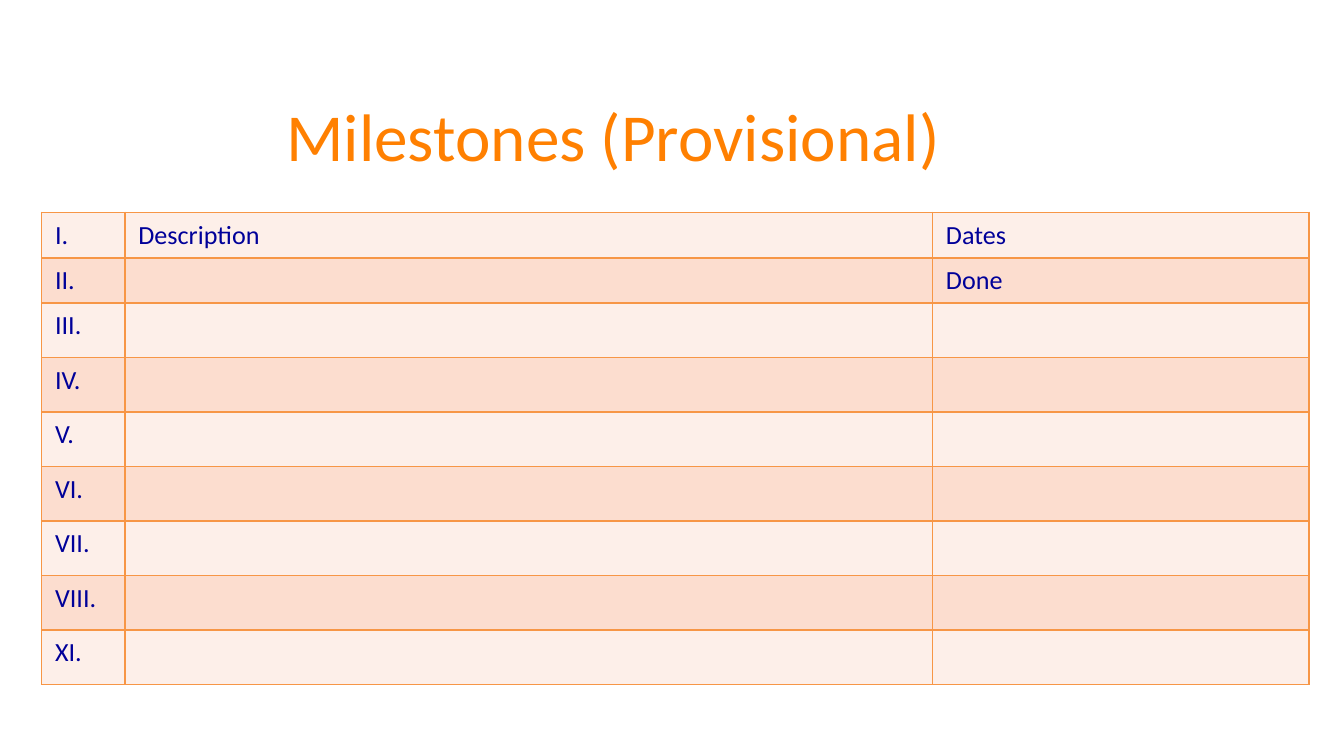
"""Build the provisional milestones slide."""
from lxml.etree import SubElement
from pptx import Presentation
from pptx.dml.color import RGBColor
from pptx.enum.text import MSO_ANCHOR, MSO_AUTO_SIZE, PP_ALIGN
from pptx.oxml import parse_xml
from pptx.oxml.ns import nsdecls, qn
from pptx.util import Pt

TITLE = "Milestones (Provisional)"
ROWS = [
    ("I.", "Description", "Dates"),
    ("II.", "", "Done"),
    ("III.", "", ""),
    ("IV.", "", ""),
    ("V.", "", ""),
    ("VI.", "", ""),
    ("VII.", "", ""),
    ("VIII.", "", ""),
    ("XI.", "", ""),
]
COLORS = {
    "title": "FF8001",
    "text": "000099",
    "border": "F79646",
    "light": "FDEFE9",
    "dark": "FCDDCF",
}
FONT = "Calibri"
COLUMN_WIDTHS = (44.6, 432.7, 201.6)
SHORT_ROW, TALL_ROW = 24.3, 29.2
TABLE_LEFT, TABLE_TOP = 22.3, 113.8


def write(frame, text, size, color):
    para = frame.paragraphs[0]
    para.alignment = PP_ALIGN.LEFT
    if not text:
        SubElement(para._p, qn("a:endParaRPr"), sz=str(size * 100))
        return
    span = para.add_run()
    span.text = text
    span.font.name = FONT
    span.font.size = Pt(size)
    span.font.color.rgb = RGBColor.from_string(COLORS[color])


def outline(cell):
    properties = cell._tc.get_or_add_tcPr()
    for index, side in enumerate(("lnL", "lnR", "lnT", "lnB")):
        properties.insert(index, parse_xml(
            f'<a:{side} {nsdecls("a")} w="{Pt(1)}"><a:solidFill>'
            f'<a:srgbClr val="{COLORS["border"]}"/></a:solidFill></a:{side}>'))


def add_title(page):
    box = page.shapes.title
    box.left, box.top, box.width, box.height = Pt(146.2), Pt(41.8), Pt(539.3), Pt(60.5)
    frame = box.text_frame
    frame.auto_size = MSO_AUTO_SIZE.NONE
    frame.vertical_anchor = MSO_ANCHOR.MIDDLE
    write(frame, TITLE, size=36, color="title")


def add_milestones(page):
    heights = [SHORT_ROW if row[2] else TALL_ROW for row in ROWS]
    table = page.shapes.add_table(
        len(ROWS), len(COLUMN_WIDTHS), Pt(TABLE_LEFT), Pt(TABLE_TOP),
        Pt(sum(COLUMN_WIDTHS)), Pt(sum(heights))).table
    table.first_row = table.horz_banding = False
    for column, width in zip(table.columns, COLUMN_WIDTHS):
        column.width = Pt(width)
    for index, (texts, height) in enumerate(zip(ROWS, heights)):
        row = table.rows[index]
        row.height = Pt(height)
        band = "dark" if index % 2 else "light"
        for cell, text in zip(row.cells, texts):
            cell.fill.solid()
            cell.fill.fore_color.rgb = RGBColor.from_string(COLORS[band])
            outline(cell)
            write(cell.text_frame, text, size=14, color="text")


def main():
    deck = Presentation()
    deck.slide_width, deck.slide_height = Pt(720), Pt(405)
    page = deck.slides.add_slide(deck.slide_layouts[5])
    add_title(page)
    add_milestones(page)
    deck.save("out.pptx")


if __name__ == "__main__":
    main()
